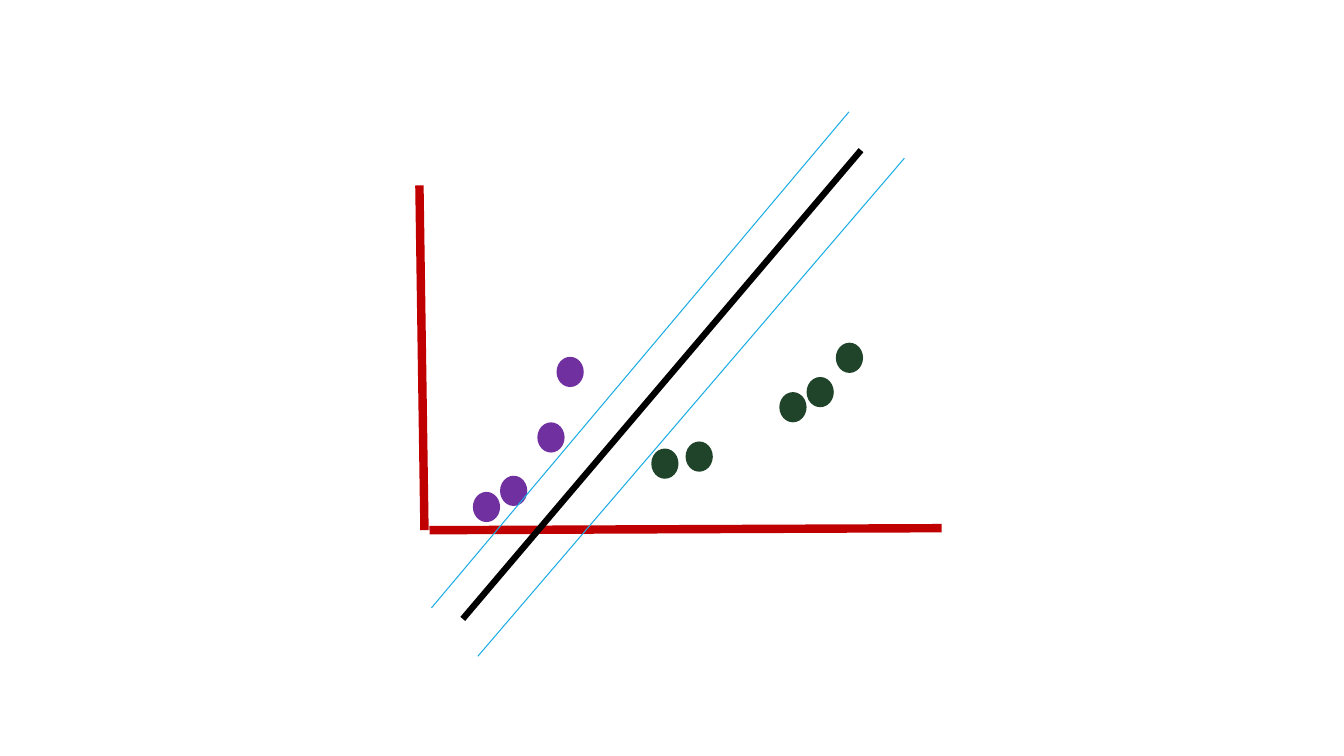
from pptx import Presentation
from pptx.dml.color import RGBColor
from pptx.enum.shapes import MSO_CONNECTOR, MSO_SHAPE
from pptx.oxml.ns import qn
from pptx.util import Inches, Pt
from lxml.etree import SubElement

COLORS = {
    "axis": "C00000",
    "class_a": "7030A0",
    "class_b": "1F442A",
    "boundary": "000000",
    "margin": "1CADE4",
}
CELL = 0.1  # inches per grid column and row
DOT_W, DOT_H = 2.7, 3

# Left and top of each dot, in columns and rows
CLASS_A_DOTS = [(46.9, 48.8), (49.6, 47.2), (53.3, 41.9), (55.2, 35.4)]
CLASS_B_DOTS = [(64.6, 44.5), (68, 43.8), (82.9, 34), (77.3, 38.9), (80, 37.4)]


class Plot:
    """Draws on one slide, with lengths in grid columns and rows."""

    def __init__(self, slide):
        self.slide = slide

    def grid(self, *cells):
        return [Inches(n * CELL) for n in cells]

    def color(self, name):
        return RGBColor.from_string(COLORS[name])

    def line(self, start, end, color, width):
        sp = self.slide.shapes.add_connector(
            MSO_CONNECTOR.STRAIGHT, *self.grid(*start, *end))
        sp.line.color.rgb = self.color(color)
        sp.line.width = Pt(width)
        SubElement(sp._element.spPr, qn("a:effectLst"))

    def dots(self, corners, color):
        for left, top in corners:
            sp = self.slide.shapes.add_shape(
                MSO_SHAPE.OVAL, *self.grid(left, top, DOT_W, DOT_H))
            sp.shadow.inherit = False
            sp.fill.solid()
            sp.fill.fore_color.rgb = self.color(color)
            sp.line.fill.background()


def main():
    prs = Presentation()
    prs.slide_width, prs.slide_height = Inches(13.33), Inches(7.5)
    plot = Plot(prs.slides.add_slide(prs.slide_layouts[6]))

    # Horizontal axis
    plot.line((42.6, 52.6), (93.4, 52.4), "axis", 6)

    # Two classes of points
    plot.dots(CLASS_A_DOTS, "class_a")
    plot.dots(CLASS_B_DOTS, "class_b")

    # Vertical axis
    plot.line((42.1, 52.6), (41.6, 18.4), "axis", 6)

    # Separating line and its margins
    plot.line((45.9, 61.4), (85.4, 14.9), "boundary", 4.5)
    plot.line((42.8, 60.3), (84.2, 11.1), "margin", 0.75)
    plot.line((47.4, 65.1), (89.7, 15.7), "margin", 0.75)

    prs.save("out.pptx")


if __name__ == "__main__":
    main()
